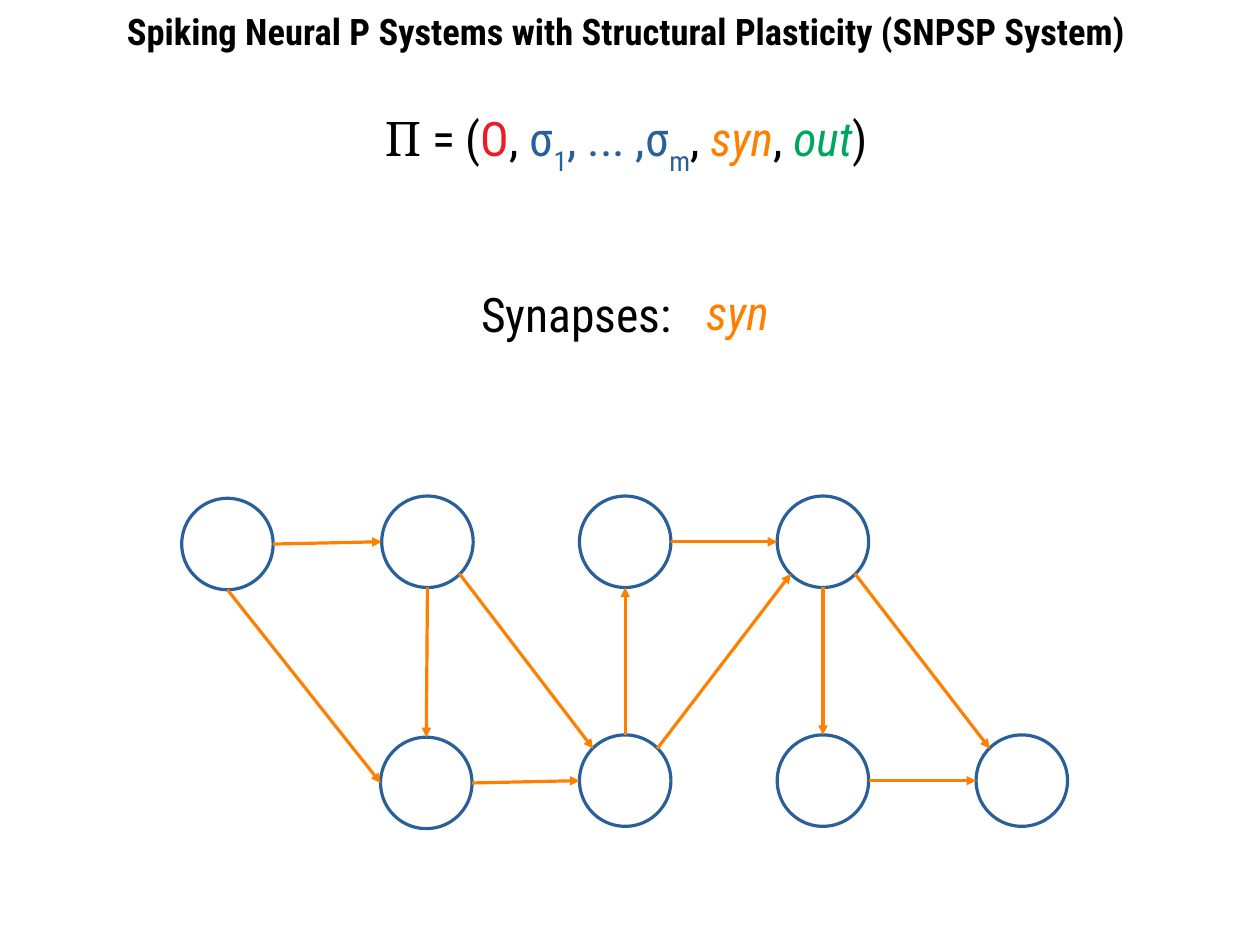
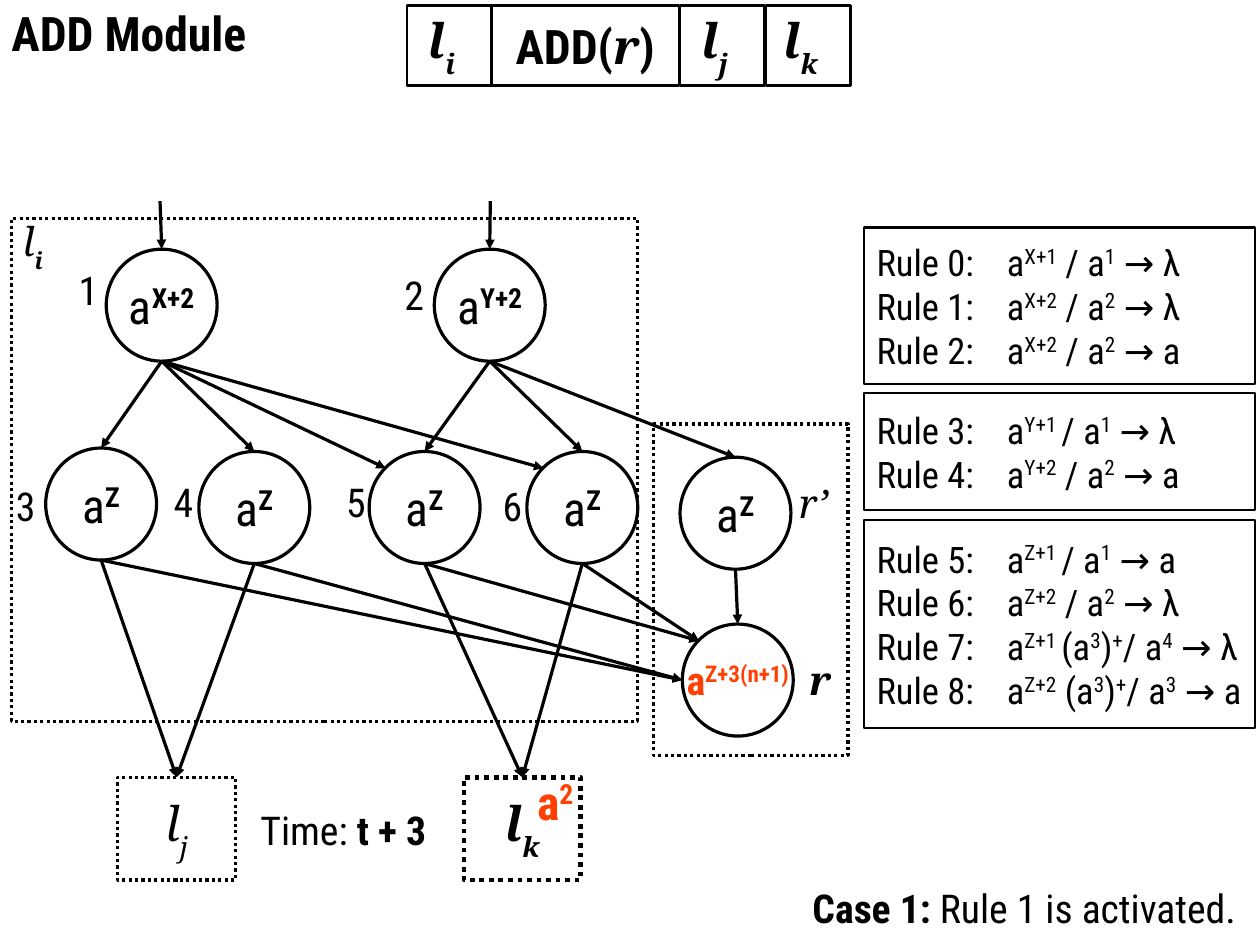
"""Build two slides on spiking neural P systems: the synapse graph and the ADD module."""
from lxml import etree
from pptx import Presentation
from pptx import util as u
from pptx.dml.color import RGBColor
from pptx.enum import dml, shapes, text
from pptx.oxml.ns import qn

BLACK = RGBColor(0x00, 0x00, 0x00)
RED = RGBColor(0xED, 0x1C, 0x24)
BLUE = RGBColor(0x2A, 0x60, 0x99)
ORANGE = RGBColor(0xFF, 0x80, 0x00)
GREEN = RGBColor(0x00, 0xA6, 0x5D)
SPIKE = RGBColor(0xFF, 0x40, 0x00)
SANS, SERIF = "Roboto Condensed", "Noto Serif"
SUB, SUPER = -33, 33
LEFT, CENTER = text.PP_ALIGN.LEFT, text.PP_ALIGN.CENTER
RECT, OVAL = shapes.MSO_SHAPE.RECTANGLE, shapes.MSO_SHAPE.OVAL
CM_PER_INCH = 2.54
NEAR, FAR = 0.15, 0.85
SITES = {"T": (0.5, 0), "L": (0, 0.5), "B": (0.5, 1), "R": (1, 0.5),
         "TL": (NEAR, NEAR), "TR": (FAR, NEAR), "BL": (NEAR, FAR), "BR": (FAR, FAR)}


def run(words, size=30, font=SANS, color=BLACK, bold=False, italic=False, base=0):
    return words, size, font, color, bold, italic, base


def label(letter, index, size=30, bold=False, index_bold=None):
    index_bold = bold if index_bold is None else index_bold
    return [run(letter, size, SERIF, bold=bold, italic=True),
            run(index, size, SERIF, bold=index_bold, italic=True, base=SUB)]


def power(exponent):
    return [run("a"), run(exponent, bold=True, base=SUPER)]


def rule(number, formula):
    parts = f"Rule {number}:\t{formula}".split("|")
    return [run(part, 23, base=SUPER if i % 2 else 0) for i, part in enumerate(parts)]


TITLES = [
    ((1.01, 0.03, 9, 0.52), run("Spiking Neural P Systems with Structural Plasticity (SNPSP System)", 23, bold=True)),
    ((0, -0.02, 2.3, 0.65), run("ADD Module", bold=True)),
]

SYSTEM_TEXTS = [
    ((4.11, 2.44, 1.88, 0.65), [run("Synapses:")]),
    ((3.27, 0.9, 4.43, 0.75), [
        run("Π", font=SERIF), run(" = ("), run("O", color=RED), run(", "),
        run("σ", color=BLUE), run("1", color=BLUE, base=SUB),
        run(", ... ,σ", color=BLUE), run("m", color=BLUE, base=SUB), run(", "),
        run("syn", color=ORANGE, italic=True), run(", "),
        run("out", color=GREEN, italic=True), run(")")]),
    ((6.08, 2.43, 0.83, 0.65), [run("syn", color=ORANGE, italic=True)]),
]
NEURON = (0.8, 0.8)
NEURONS = {"A": (1.59, 4.36), "B": (3.34, 4.34), "C": (5.07, 4.34), "D": (6.8, 4.34),
           "E": (3.33, 6.45), "F": (5.07, 6.43), "G": (6.8, 6.43), "H": (8.54, 6.43)}
SYNAPSES = ["A R B L", "A B E L", "B B E T", "B BR F TL", "E R F L", "F T C B",
            "C R D L", "F TR D BL", "D B G T", "D BR H TL", "G R H L"]

CELL = (0.97, 0.98)
CELLS = {
    "1": (0.93, 2.18, power("X+2")),
    "2": (3.8, 2.18, power("Y+2")),
    "3": (0.4, 3.92, power("Z")),
    "4": (1.74, 3.95, power("Z")),
    "5": (3.23, 3.95, power("Z")),
    "6": (4.61, 3.95, power("Z")),
    "r'": (5.95, 4, power("Z")),
    "r": (5.97, 5.46, [run("a", 25, color=SPIKE, bold=True),
                       run("Z+3(n+1)", 25, color=SPIKE, bold=True, base=SUPER)]),
}
OUTPUTS = {"lj": ((1.03, 6.8, 1.03, 0.9), 2, label("l", "j")),
           "lk": ((4.06, 6.8, 1.02, 0.9), 3, label("l", "k", bold=True))}
FRAMES = [(0.1, 1.91, 5.48, 4.4), (5.72, 3.71, 1.7, 2.9)]
INPUTS = [((1.4, 1.76), "1"), ((4.29, 1.76), "2")]
LINKS = ["1 B 3 T", "1 B 4 T", "1 B 5 TL", "1 B 6 TL", "2 B 5 T", "2 B 6 T", "2 B r' T",
         "r' B r T", "3 B r L", "4 B r L", "5 B r TL", "6 B r TL",
         "3 B lj T", "4 B lj T", "5 B lk T", "6 B lk T"]
NUMBERS = {"1": (0.59, 2.28), "2": (3.44, 2.32), "3": (0.04, 4.17),
           "4": (1.42, 4.13), "5": (2.93, 4.13), "6": (4.3, 4.17)}
INSTRUCTION = [
    (3.56, 0.74, 0.24, label("l", "i", bold=True)),
    (4.3, 1.64, 0.11, [run("ADD(", bold=True), run("r", font=SERIF, bold=True, italic=True),
                       run(")", bold=True)]),
    (5.95, 0.74, 0.24, label("l", "j", bold=True)),
    (6.7, 0.74, 0.24, label("l", "k", bold=True)),
]
RULE_BOXES = [
    (1.99, 1.37, ["a|X+1| / a|1| → λ", "a|X+2| / a|2| → λ", "a|X+2| / a|2| → a"]),
    (3.44, 1.02, ["a|Y+1 |/ a|1| → λ", "a|Y+2| / a|2| → a"]),
    (4.55, 1.82, ["a|Z+1 |/ a|1| → a", "a|Z+2| / a|2| → λ",
                  "a|Z+1 |(a|3|)|+|/ a|4| → λ", "a|Z+2| (a|3|)|+|/ a|3| → a"]),
]
MODULE_TEXTS = [
    ((0.1, 1.85, 0.5, 0.75), label("l", "i", 25, index_bold=True)),
    ((6.98, 5.69, 0.31, 0.57), [run("r", 25, SERIF, bold=True, italic=True)]),
    ((6.89, 4.14, 0.51, 0.57), [run("r’", 25, SERIF, italic=True)]),
    ((2.18, 7, 1.72, 0.56), [run("Time:", 25), run(" t + 3", 25, bold=True)]),
    ((7.01, 7.68, 3.99, 0.56), [run("Case 1: ", 25, bold=True), run("Rule 1 is activated.", 25)]),
    ((4.6, 6.71, 0.58, 0.69), [run("a", color=SPIKE, bold=True),
                               run("2", color=SPIKE, bold=True, base=SUPER)]),
]


def inches(values):
    return [u.Inches(v) for v in values]


def write(tf, paragraphs, align=LEFT, anchor=text.MSO_ANCHOR.TOP, wrap=True,
          insets=(0.1, 0.05, 0.1, 0.05), tab=None):
    tf.auto_size = text.MSO_AUTO_SIZE.NONE
    tf.word_wrap = wrap
    tf.vertical_anchor = anchor
    tf.margin_left, tf.margin_top, tf.margin_right, tf.margin_bottom = inches(insets)
    for i, runs in enumerate(paragraphs):
        p = tf.add_paragraph() if i else tf.paragraphs[0]
        p.alignment = align
        if tab:
            tabs = etree.SubElement(p._p.get_or_add_pPr(), qn("a:tabLst"))
            etree.SubElement(tabs, qn("a:tab"), pos=str(u.Inches(tab)), algn="l")
        for words, size, font, color, bold, italic, base in runs:
            r = p.add_run()
            r.text = words
            r.font.size, r.font.name = u.Pt(size), font
            r.font.bold, r.font.italic = bold, italic
            r.font.color.rgb = color
            if base:
                r._r.get_or_add_rPr().set("baseline", str(base * 1000))


def add_texts(s, items):
    for box, runs in items:
        write(s.shapes.add_textbox(*inches(box)).text_frame, [runs])


def outline(s, kind, box, color=BLACK, width=2, dotted=False):
    sp = s.shapes.add_shape(kind, *inches(box))
    sp.shadow.inherit = False
    sp.fill.background()
    sp.line.color.rgb = color
    sp.line.width = u.Pt(width)
    if dotted:
        sp.line.dash_style = dml.MSO_LINE.ROUND_DOT
    return sp


def fill_box(sp, paragraphs, align=CENTER, wrap=False, right=0.11, tab=None):
    write(sp.text_frame, paragraphs, align, text.MSO_ANCHOR.MIDDLE, wrap,
          (0.11, 0.06, right, 0.06), tab)


def site(sp, name):
    fx, fy = SITES[name]
    return int(sp.left + fx * sp.width), int(sp.top + fy * sp.height)


def arrow(s, start, end, color=BLACK):
    c = s.shapes.add_connector(shapes.MSO_CONNECTOR.STRAIGHT, *start, *end)
    c.line.color.rgb = color
    c.line.width = u.Pt(2)
    etree.SubElement(c.line._get_or_add_ln(), qn("a:tailEnd"), type="triangle")
    etree.SubElement(c._element.spPr, qn("a:effectLst"))
    return c


def link_all(s, nodes, links, color=BLACK):
    for link in links:
        source, out_site, target, in_site = link.split()
        c = arrow(s, site(nodes[source], out_site), site(nodes[target], in_site), color)
        if target in OUTPUTS:
            c.end_connect(nodes[target], 0)


def titled_slide(prs, box, title):
    s = prs.slides.add_slide(prs.slide_layouts[5])
    sp = s.shapes.title
    sp.left, sp.top, sp.width, sp.height = inches(box)
    write(sp.text_frame, [[title]])
    return s


def build_system(s):
    add_texts(s, SYSTEM_TEXTS)
    nodes = {name: outline(s, OVAL, at + NEURON, BLUE) for name, at in NEURONS.items()}
    link_all(s, nodes, SYNAPSES, ORANGE)


def build_module(s):
    for box in FRAMES:
        outline(s, RECT, box, dotted=True)
    nodes = {}
    for name, (x, y, runs) in CELLS.items():
        nodes[name] = outline(s, OVAL, (x, y) + CELL)
        fill_box(nodes[name], [runs])
    for name, (box, width, runs) in OUTPUTS.items():
        nodes[name] = outline(s, RECT, box, width=width, dotted=True)
        fill_box(nodes[name], [runs])
    for start, name in INPUTS:
        arrow(s, inches(start), site(nodes[name], "T"))
    link_all(s, nodes, LINKS)
    for x, width, right, runs in INSTRUCTION:
        fill_box(outline(s, RECT, (x, 0.05, width, 0.7), width=1.5), [runs], right=right)
    number = 0
    for y, height, formulas in RULE_BOXES:
        rules = [rule(number + i, formula) for i, formula in enumerate(formulas)]
        number += len(rules)
        fill_box(outline(s, RECT, (7.56, y, 3.42, height), width=1.5), rules,
                 LEFT, True, right=0, tab=1.14)
    add_texts(s, [(at + (0.4, 0.65), [run(n, 25)]) for n, at in NUMBERS.items()])
    add_texts(s, MODULE_TEXTS)


def main():
    prs = Presentation()
    prs.slide_width = u.Inches(28 / CM_PER_INCH)
    prs.slide_height = u.Inches(21 / CM_PER_INCH)
    for (box, title), build in zip(TITLES, (build_system, build_module)):
        build(titled_slide(prs, box, title))
    prs.save("out.pptx")


if __name__ == "__main__":
    main()
